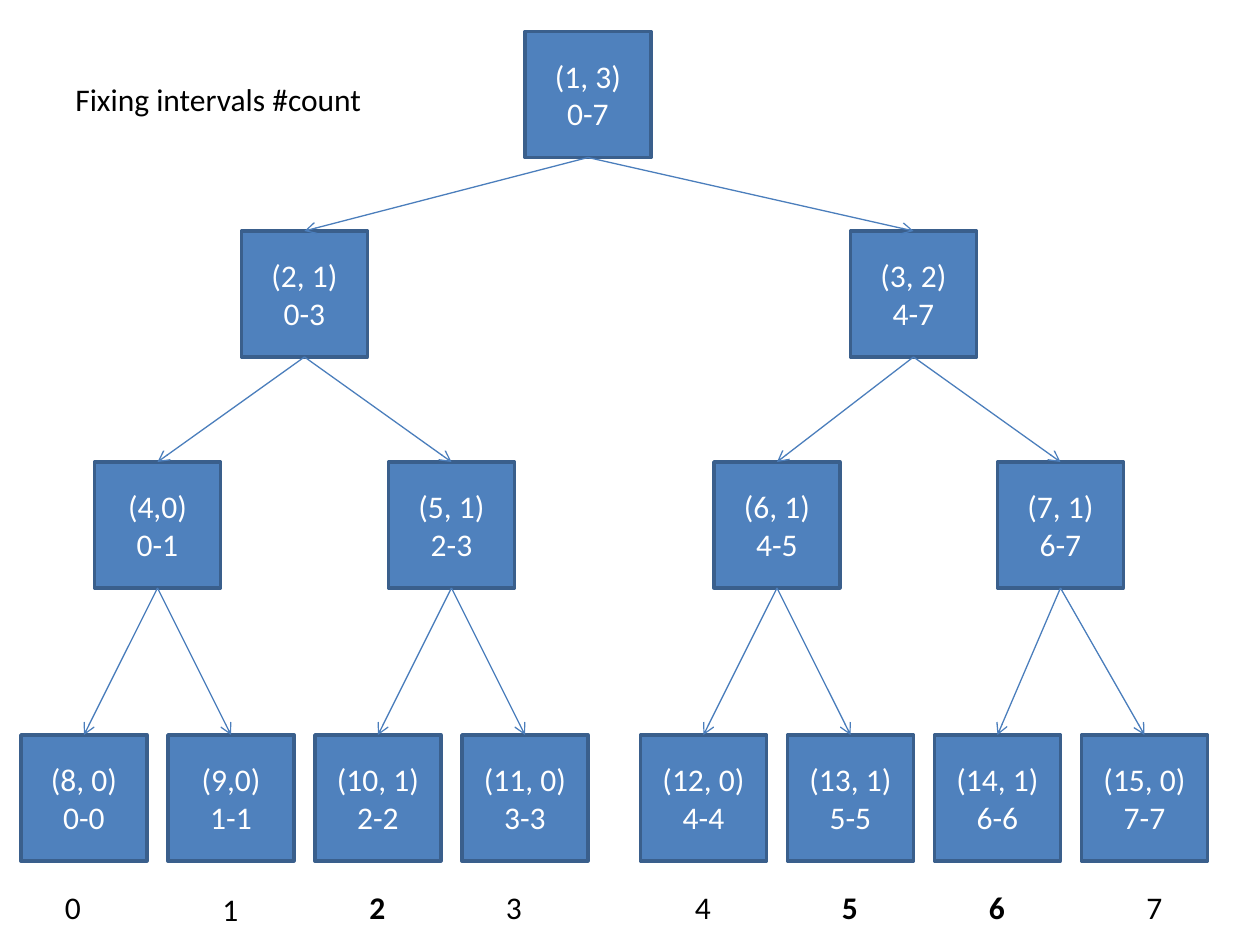
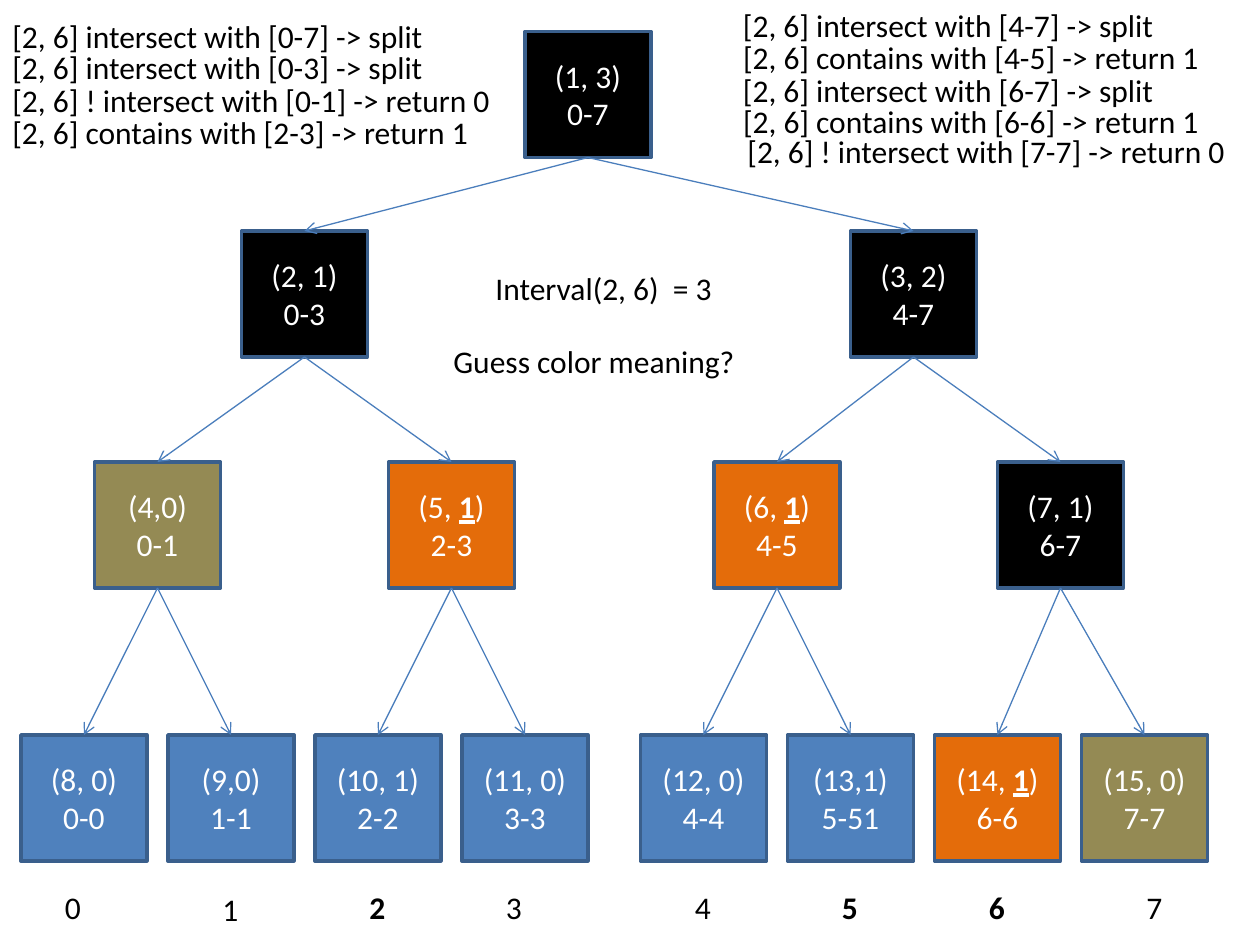
from pptx import Presentation
from pptx.dml.color import RGBColor
from pptx.enum.shapes import MSO_CONNECTOR, MSO_SHAPE
from pptx.enum.text import MSO_ANCHOR, MSO_AUTO_SIZE, PP_ALIGN
from pptx.oxml.ns import qn
from pptx.util import Pt
from lxml.etree import SubElement

HEX = {"blue": "4F81BD", "edge": "3A5F8C", "arrow": "4B7EBC", "black": "000000",
       "orange": "E46C0A", "olive": "948A54", "white": "FFFFFF"}
SIDE = 72
ROWS = [(18, [300]), (132, [138, 486]), (264, [54, 222, 408, 570]),
        (420, [12, 96, 180, 264, 366, 450, 534, 618])]
SPOTS = [(left, top) for top, lefts in ROWS for left in lefts]
MARKS = [30, 120, 204, 282, 390, 474, 558, 648]
BOLD = {2, 5, 6}

COUNTS = ["(1, 3)", "(2, 1)", "(3, 2)", "(4,0)", "(5, 1)", "(6, 1)", "(7, 1)",
          "(8, 0)", "(9,0)", "(10, 1)", "(11, 0)", "(12, 0)", "(13, 1)", "(14, 1)", "(15, 0)"]
SPANS = ["0-7", "0-3", "4-7", "0-1", "2-3", "4-5", "6-7",
         "0-0", "1-1", "2-2", "3-3", "4-4", "5-5", "6-6", "7-7"]

PAGES = [
    {"fills": {}, "edits": {},
     "notes": [("Fixing intervals #count", 36, 42, 180)]},
    {"fills": {1: "black", 2: "black", 3: "black", 7: "black", 4: "olive", 15: "olive",
               5: "orange", 6: "orange", 14: "orange"},
     "edits": {13: ("(13,1)", "5-51")},
     "notes": [("[2, 6] intersect with [0-7] -> split", 0, 6, 252),
               ("[2, 6] intersect with [0-3] -> split", 0, 24, 252),
               ("[2, 6] ! intersect with [0-1] -> return 0", 0, 43, 291),
               ("[2, 6] contains with [2-3] -> return 1", 0, 61, 288),
               ("[2, 6] intersect with [4-7] -> split", 417.5, 0, 252),
               ("[2, 6] contains with [4-5] -> return 1", 417.5, 18, 278),
               ("[2, 6] intersect with [6-7] -> split", 417.5, 37, 252),
               ("[2, 6] contains with [6-6] -> return 1", 417.5, 55, 278),
               ("[2, 6] ! intersect with [7-7] -> return 0", 420, 72, 291),
               ("Interval(2, 6)  = 3", 276, 150, 140),
               ("Guess color meaning?", 252, 192, 184)]},
]


def style(par, tone, bold=False):
    par.font.name = "Calibri"
    par.font.size = Pt(18)
    par.font.bold = bold
    par.font.color.rgb = RGBColor.from_string(HEX[tone])


def label(slide, text, left, top, width, bold=False):
    frame = slide.shapes.add_textbox(Pt(left), Pt(top), Pt(width), Pt(29)).text_frame
    frame.word_wrap = False
    frame.auto_size = MSO_AUTO_SIZE.SHAPE_TO_FIT_TEXT
    par = frame.paragraphs[0]
    par.add_run().text = text
    style(par, "black", bold)


deck = Presentation()
deck.slide_width, deck.slide_height = Pt(720), Pt(540)

for page in PAGES:
    slide = deck.slides.add_slide(deck.slide_layouts[6])
    nodes = {}
    for num, (left, top) in enumerate(SPOTS, 1):
        fill = page["fills"].get(num, "blue")
        count, span = page["edits"].get(num, (COUNTS[num - 1], SPANS[num - 1]))
        node = slide.shapes.add_shape(MSO_SHAPE.RECTANGLE, Pt(left), Pt(top), Pt(SIDE), Pt(SIDE))
        node.shadow.inherit = False
        node.fill.solid()
        node.fill.fore_color.rgb = RGBColor.from_string(HEX[fill])
        node.line.color.rgb = RGBColor.from_string(HEX["edge"])
        node.line.width = Pt(2)
        frame = node.text_frame
        frame.vertical_anchor = MSO_ANCHOR.MIDDLE
        head, foot = frame.paragraphs[0], frame.add_paragraph()
        if fill == "orange":
            parts = [count[:-2], count[-2], count[-1]]
        else:
            parts = [count]
        for part in parts:
            head.add_run().text = part
        if fill == "orange":
            head.runs[1].font.bold = True
            head.runs[1].font.underline = True
        foot.add_run().text = span
        for par in (head, foot):
            par.alignment = PP_ALIGN.CENTER
            style(par, "white")
        nodes[num] = node

    for num in range(2, len(nodes) + 1):
        link = slide.shapes.add_connector(MSO_CONNECTOR.STRAIGHT, 0, 0, 0, 0)
        link.begin_connect(nodes[num // 2], 2)
        link.end_connect(nodes[num], 0)
        link.line.color.rgb = RGBColor.from_string(HEX["arrow"])
        link.line.width = Pt(0.75)
        props = link._element.spPr
        SubElement(props.find(qn("a:ln")), qn("a:tailEnd"), type="arrow")
        SubElement(props, qn("a:effectLst"))

    for num, left in enumerate(MARKS):
        label(slide, str(num), left, 505 if num == 1 else 504, 24, num in BOLD)
    for note in page["notes"]:
        label(slide, *note)

deck.save("out.pptx")
